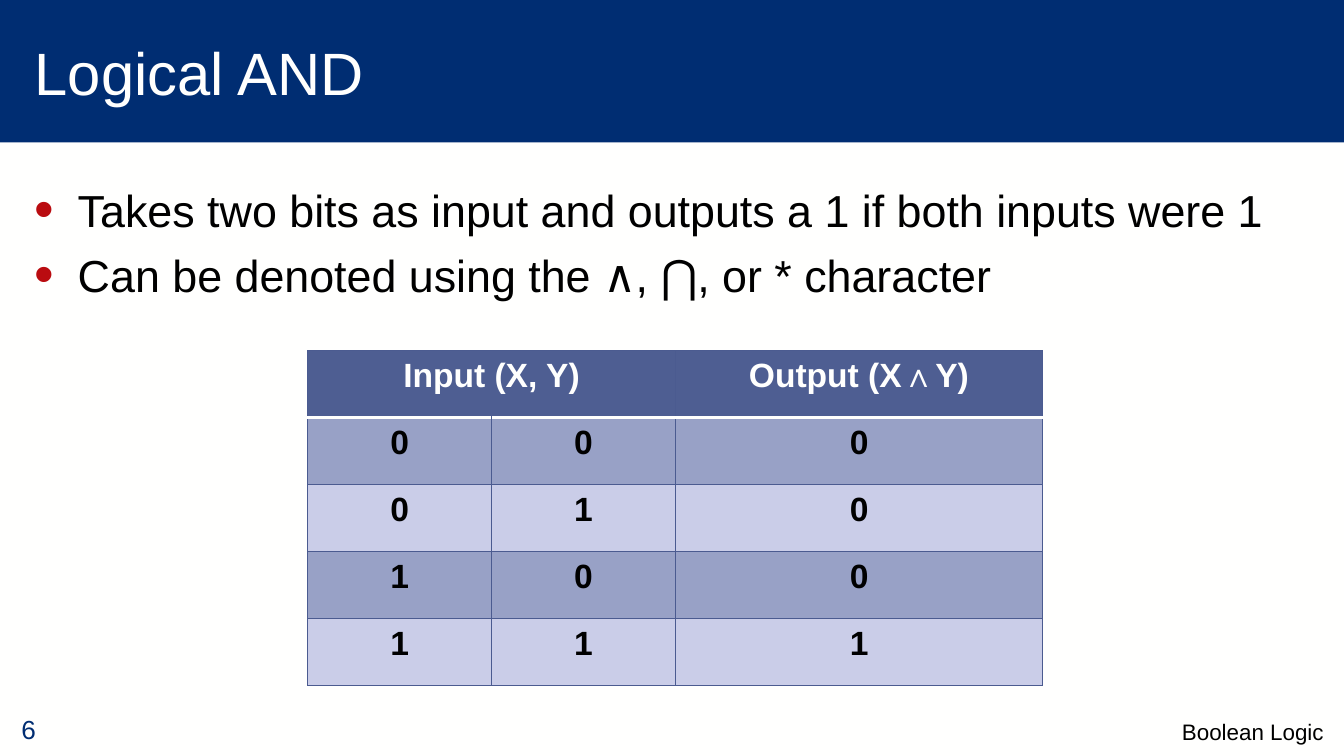
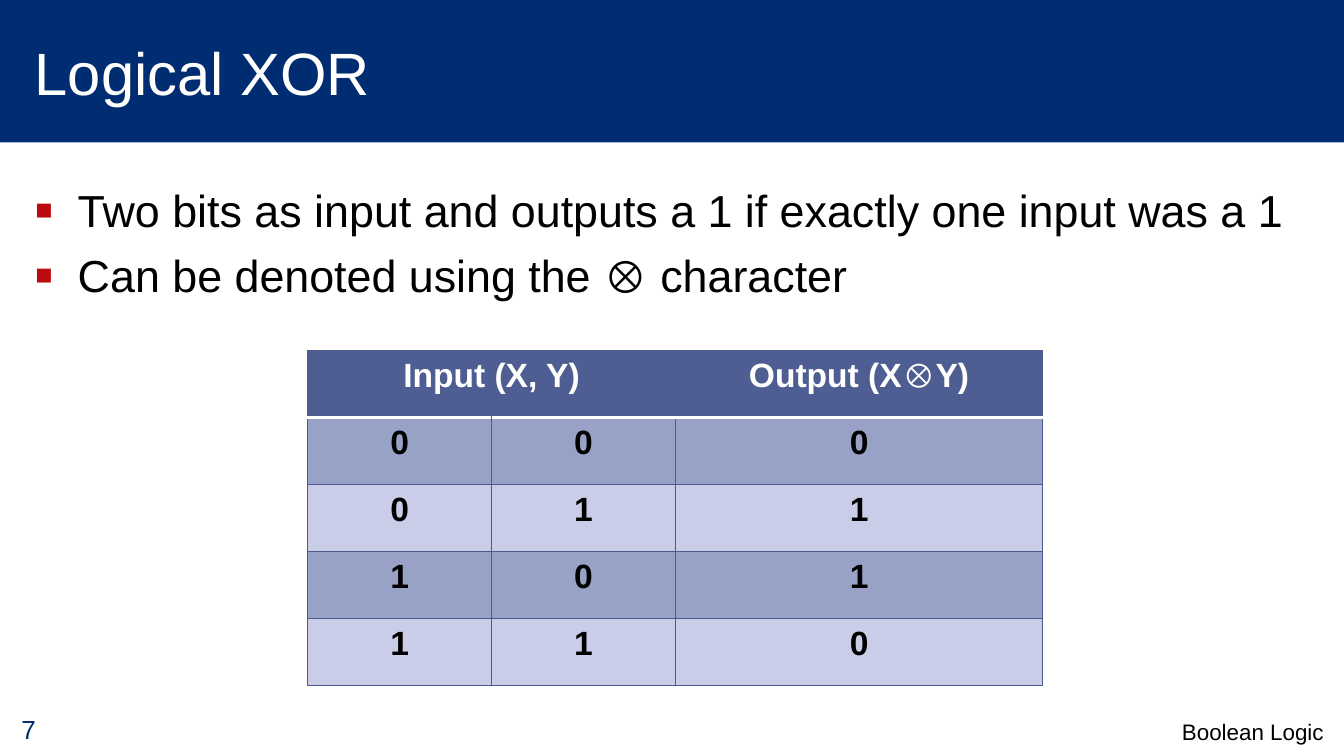
import pptx
import pptx.util
from lxml import etree
from pptx.dml.color import RGBColor
from pptx.enum.shapes import MSO_SHAPE
from pptx.enum.text import MSO_ANCHOR, PP_ALIGN
from pptx.oxml.ns import qn
from pptx.util import Inches

FONT = "Arial"
FOOTER = "Boolean Logic"
COLORS = {
    "navy": "002D72",
    "white": "FFFFFE",
    "black": "000000",
    "bullet": "BA0C10",
    "header": "4E5E92",
    "odd": "98A1C6",
    "even": "CACDE8",
    "grid": "4B5B90",
}
INPUTS = [(0, 0), (0, 1), (1, 0), (1, 1)]
SLIDES = [
    {
        "number": 6,
        "title": "Logical AND",
        "bullet": "•",
        "points": ["Takes two bits as input and outputs a 1 if both inputs were 1",
                   "Can be denoted using the\u00a0∧, ⋂, or * character"],
        "output_head": [("Output (X∧Y)", True)],
        "outputs": [0, 0, 0, 1],
    },
    {
        "number": 7,
        "title": "Logical XOR",
        "bullet": "▪",
        "points": ["Two bits as input and outputs a 1 if exactly one input was a 1",
                   "Can be denoted using the\u00a0⊗ character"],
        "output_head": [("Output (X", True), ("⊗", False), ("Y)", True)],
        "outputs": [0, 1, 1, 0],
    },
]
SLIDE_WIDTH = 10
SLIDE_HEIGHT = SLIDE_WIDTH * 9 / 16
TABLE_LEFT, TABLE_TOP, TABLE_WIDTH, TABLE_HEIGHT = 2.29, 2.61, 5.47, 2.49
COLUMN_SHARES = [1, 1, 2]


def rgb(name):
    return RGBColor.from_string(COLORS[name])


def style(r, size, color, bold=False):
    r.font.name = FONT
    r.font.size = pptx.util.Pt(size)
    r.font.color.rgb = rgb(color)
    r.font.bold = bold


def add_text(s, box, lines, size, color, anchor=MSO_ANCHOR.TOP, inset=True):
    tf = s.shapes.add_textbox(*map(Inches, box)).text_frame
    tf.word_wrap = True
    tf.vertical_anchor = anchor
    if not inset:
        tf.margin_left = tf.margin_right = tf.margin_top = tf.margin_bottom = 0
    tf.text = "\n".join(lines)
    for p in tf.paragraphs:
        for r in p.runs:
            style(r, size, color)
    return tf


def add_bullet(p, char):
    p.space_before = pptx.util.Pt(6)
    pPr = p._p.get_or_add_pPr()
    pPr.set("marL", str(Inches(0.32)))
    pPr.set("indent", str(-Inches(0.32)))
    color = etree.SubElement(pPr, qn("a:buClr"))
    etree.SubElement(color, qn("a:srgbClr"), val=COLORS["bullet"])
    etree.SubElement(pPr, qn("a:buSzPct"), val="125000")
    etree.SubElement(pPr, qn("a:buFont"), typeface=FONT)
    etree.SubElement(pPr, qn("a:buChar"), char=char)


def set_borders(cell, **sides):
    """Draw the four cell borders; sides maps L, R, T or B to (colour, points)."""
    tcPr = cell._tc.get_or_add_tcPr()
    for i, side in enumerate("LRTB"):
        color, width = sides.get(side, ("grid", 0.75))
        ln = etree.Element(qn(f"a:ln{side}"), w=str(pptx.util.Pt(width)))
        fill = etree.SubElement(ln, qn("a:solidFill"))
        etree.SubElement(fill, qn("a:srgbClr"), val=COLORS[color])
        tcPr.insert(i, ln)


def add_frame(s, number, title):
    s.background.fill.solid()
    s.background.fill.fore_color.rgb = rgb("white")
    band = s.shapes.add_shape(MSO_SHAPE.RECTANGLE, 0, 0, Inches(SLIDE_WIDTH), Inches(1.06))
    band.shadow.inherit = False
    band.fill.solid()
    band.fill.fore_color.rgb = rgb("navy")
    band.line.fill.background()
    add_text(s, (0.16, 5.24, 0.61, 0.3), [str(number)], 14, "navy", MSO_ANCHOR.BOTTOM, False)
    add_text(s, (0.16, 0.06, 9.69, 0.94), [title], 32, "white", MSO_ANCHOR.MIDDLE)
    tf = add_text(s, (0.96, 5.23, 8.89, 0.31), [FOOTER], 12, "black", MSO_ANCHOR.BOTTOM, False)
    tf.paragraphs[0].alignment = PP_ALIGN.RIGHT
    tf.paragraphs[0].space_after = pptx.util.Pt(6)


def add_truth_table(s, output_head, outputs):
    rows = [[[("Input (X, Y)", True)], [], output_head]]
    for (x, y), out in zip(INPUTS, outputs):
        rows.append([[(str(bit), True)] for bit in (x, y, out)])
    box = (TABLE_LEFT, TABLE_TOP, TABLE_WIDTH, TABLE_HEIGHT)
    table = s.shapes.add_table(len(rows), len(COLUMN_SHARES), *map(Inches, box)).table
    for column, share in zip(table.columns, COLUMN_SHARES):
        column.width = Inches(TABLE_WIDTH * share / sum(COLUMN_SHARES))
    rule = ("white", 2)
    for i, row in enumerate(rows):
        table.rows[i].height = Inches(TABLE_HEIGHT / len(rows))
        fill = "header" if i == 0 else "odd" if i % 2 else "even"
        borders = {0: {"B": rule}, 1: {"T": rule}}.get(i, {})
        for j, runs in enumerate(row):
            cell = table.cell(i, j)
            cell.fill.solid()
            cell.fill.fore_color.rgb = rgb(fill)
            set_borders(cell, **borders)
            p = cell.text_frame.paragraphs[0]
            p.alignment = PP_ALIGN.CENTER
            for text, bold in runs:
                r = p.add_run()
                r.text = text
                style(r, 18, "black" if i else "white", bold)
    table.cell(0, 0).merge(table.cell(0, 1))


def main():
    prs = pptx.Presentation()
    prs.slide_width, prs.slide_height = Inches(SLIDE_WIDTH), Inches(SLIDE_HEIGHT)
    for content in SLIDES:
        s = prs.slides.add_slide(prs.slide_layouts[6])
        add_frame(s, content["number"], content["title"])
        tf = add_text(s, (0.16, 1.31, 9.69, 3.71), content["points"], 24, "black")
        for p in tf.paragraphs:
            add_bullet(p, content["bullet"])
        add_truth_table(s, content["output_head"], content["outputs"])
    prs.save("out.pptx")


if __name__ == "__main__":
    main()
